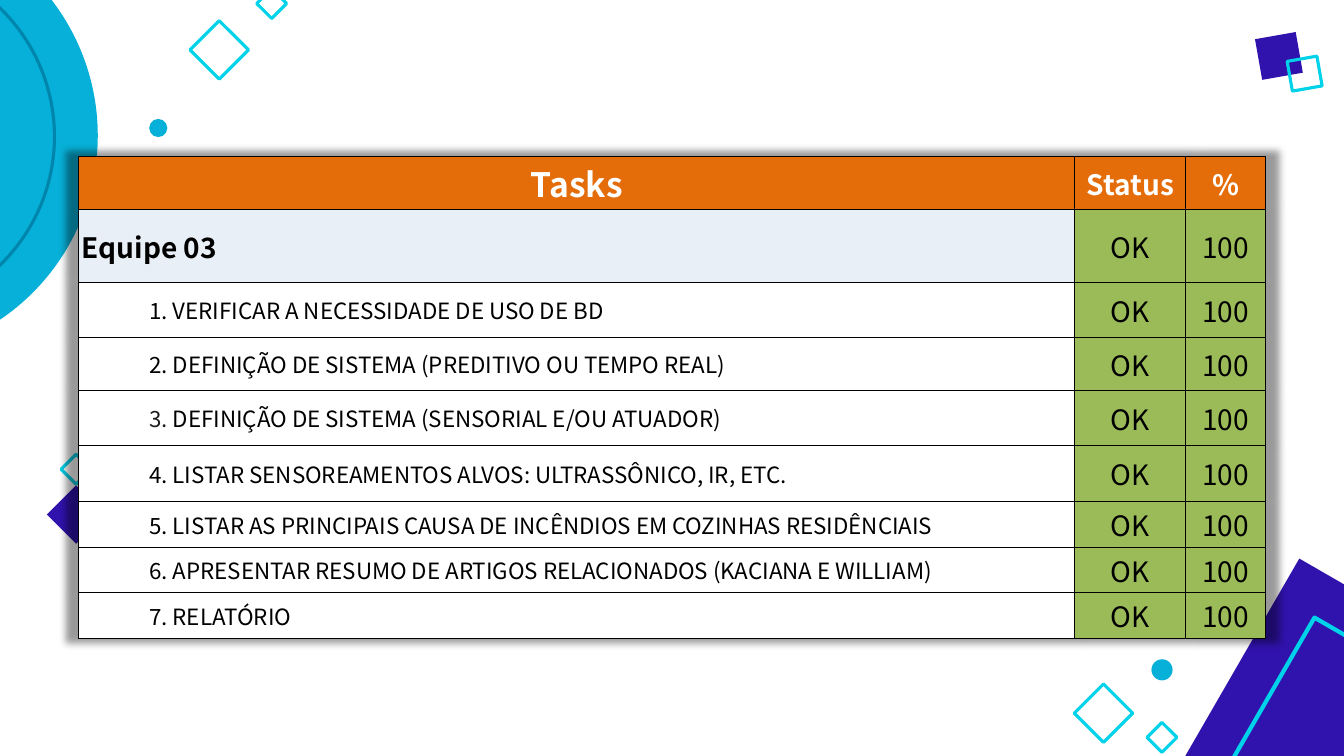
"""Build the task status slide of team 03."""
from lxml import etree
from pptx import Presentation
from pptx.dml.color import RGBColor
from pptx.enum.shapes import MSO_SHAPE
from pptx.enum.text import MSO_ANCHOR, PP_ALIGN
from pptx.oxml import parse_xml
from pptx.oxml.ns import nsdecls
from pptx.util import Inches, Pt

RECT, OVAL = MSO_SHAPE.RECTANGLE, MSO_SHAPE.OVAL
MIDDLE = MSO_ANCHOR.MIDDLE
LEFT, CENTER = PP_ALIGN.LEFT, PP_ALIGN.CENTER
FONT = "Noto Sans CJK JP"
PURPLE, CYAN, BLUE, TEAL = "3012AC", "00D2E9", "07B0D8", "0085AD"
ORANGE, PALE, GREEN = "E46D0A", "E9EFF7", "9BBB59"
WHITE, BLACK, DARK_GRAY = "FFFFFF", "000000", "1F1F1F"


def color(hex_value):
    return RGBColor.from_string(hex_value)


prs = Presentation()
prs.slide_width, prs.slide_height = Inches(13.33), Inches(7.5)
slide = prs.slides.add_slide(prs.slide_layouts[6])

# kind, left, top, size, rotation, fill, line, line width
decorations = [
    (RECT, 11.59, 6.29, 4.09, 30, PURPLE, None, 0),
    (RECT, 12.01, 6.72, 3.24, 30, None, CYAN, 3),
    (RECT, 1.97, 0.29, 0.41, 315, None, CYAN, 2.25),
    (RECT, 2.59, -0.07, 0.21, 315, None, CYAN, 2.25),
    (RECT, 10.74, 6.87, 0.41, 315, None, CYAN, 2.25),
    (RECT, 0.65, 4.55, 0.21, 315, None, CYAN, 2.25),
    (OVAL, 11.42, 6.54, 0.21, 0, BLUE, None, 0),
    (OVAL, 1.48, 1.18, 0.18, 0, BLUE, None, 0),
    (RECT, 12.48, 0.35, 0.41, 260, PURPLE, None, 0),
    (RECT, 12.79, 0.58, 0.3, 260, None, CYAN, 2.25),
    (RECT, 0.55, 4.9, 0.41, 315, PURPLE, None, 0),
    (OVAL, -3.44, -0.86, 4.41, 0, BLUE, None, 0),
    (OVAL, -3.01, -0.42, 3.55, 0, None, TEAL, 2.25),
    (RECT, 11.42, 7.21, 0.21, 315, None, CYAN, 2.25),
]
for kind, left, top, size, rotation, fill, line, width in decorations:
    ornament = slide.shapes.add_shape(
        kind, Inches(left), Inches(top), Inches(size), Inches(size))
    ornament.rotation = rotation
    ornament.shadow.inherit = False
    if fill:
        ornament.fill.solid()
        ornament.fill.fore_color.rgb = color(fill)
        ornament.line.fill.background()
    else:
        ornament.fill.background()
        ornament.line.color.rgb = color(line)
        ornament.line.width = Pt(width)

tasks = [
    "VERIFICAR A NECESSIDADE DE USO DE BD",
    "DEFINIÇÃO DE SISTEMA (PREDITIVO OU TEMPO REAL)",
    "DEFINIÇÃO DE SISTEMA (SENSORIAL E/OU ATUADOR)",
    "LISTAR SENSOREAMENTOS ALVOS: ULTRASSÔNICO, IR, ETC.",
    "LISTAR AS PRINCIPAIS CAUSA DE INCÊNDIOS EM COZINHAS RESIDÊNCIAIS",
    "APRESENTAR RESUMO DE ARTIGOS RELACIONADOS (KACIANA E WILLIAM)",
    "RELATÓRIO",
]
rows = [("Tasks", "Status", "%"), ("Equipe 03", "OK", "100")]
rows += [(f"{number}. {task}", "OK", "100") for number, task in enumerate(tasks, 1)]
column_widths = [9.88, 1.1, 0.79]
row_heights = [0.53, 0.72, 0.55, 0.52, 0.55, 0.56, 0.45, 0.45, 0.45]

table_frame = slide.shapes.add_table(
    len(rows), len(column_widths), Inches(0.78), Inches(1.55),
    Inches(sum(column_widths)), Inches(sum(row_heights)))
task_table = table_frame.table
task_table.horz_banding = False
for column, width in zip(task_table.columns, column_widths):
    column.width = Inches(width)
for table_row, height in zip(task_table.rows, row_heights):
    table_row.height = Inches(height)

shadow = parse_xml(
    f'<a:effectLst {nsdecls("a")}><a:outerShdw blurRad="63500" sx="102000" '
    'sy="102000" algn="ctr" rotWithShape="0"><a:srgbClr val="000000">'
    '<a:alpha val="40000"/></a:srgbClr></a:outerShdw></a:effectLst>')
task_table._tbl.tblPr.insert(0, shadow)

for r, row in enumerate(rows):
    for c, text in enumerate(row):
        cell = task_table.cell(r, c)
        is_task = r > 1 and c == 0
        cell.vertical_anchor = MIDDLE
        cell.margin_left = cell.margin_right = Inches(0.03)
        cell.margin_top = cell.margin_bottom = Inches(0.02)
        cell.fill.solid()
        cell.fill.fore_color.rgb = color(
            ORANGE if r == 0 else GREEN if c else PALE if r == 1 else WHITE)

        paragraph = cell.text_frame.paragraphs[0]
        paragraph.alignment = CENTER if r == 0 or c else LEFT
        paragraph.font.name = FONT
        paragraph.font.size = Pt(16 if is_task else 24 if r == c == 0 else 20)
        paragraph.font.bold = r == 0 or (r == 1 and c == 0)
        paragraph.font.color.rgb = color(WHITE if r == 0 else BLACK)
        if is_task:
            paragraph.level = 1
            paragraph._p.get_or_add_pPr().set("marL", str(Inches(0.67)))
        if is_task and text.startswith("3."):
            number_run = paragraph.add_run()
            number_run.text = text[:3]
            number_run.font.color.rgb = color(DARK_GRAY)
            text = text[3:]
        paragraph.add_run().text = text
        for run in paragraph.runs:
            run.font.name = FONT

        cell_properties = cell._tc.get_or_add_tcPr()
        for position, side in enumerate(("lnL", "lnR", "lnT", "lnB")):
            border = parse_xml(
                f'<a:{side} {nsdecls("a")} w="{Pt(0.75)}"><a:solidFill>'
                f'<a:srgbClr val="{BLACK}"/></a:solidFill></a:{side}>')
            cell_properties.insert(position, border)

prs.save("out.pptx")
